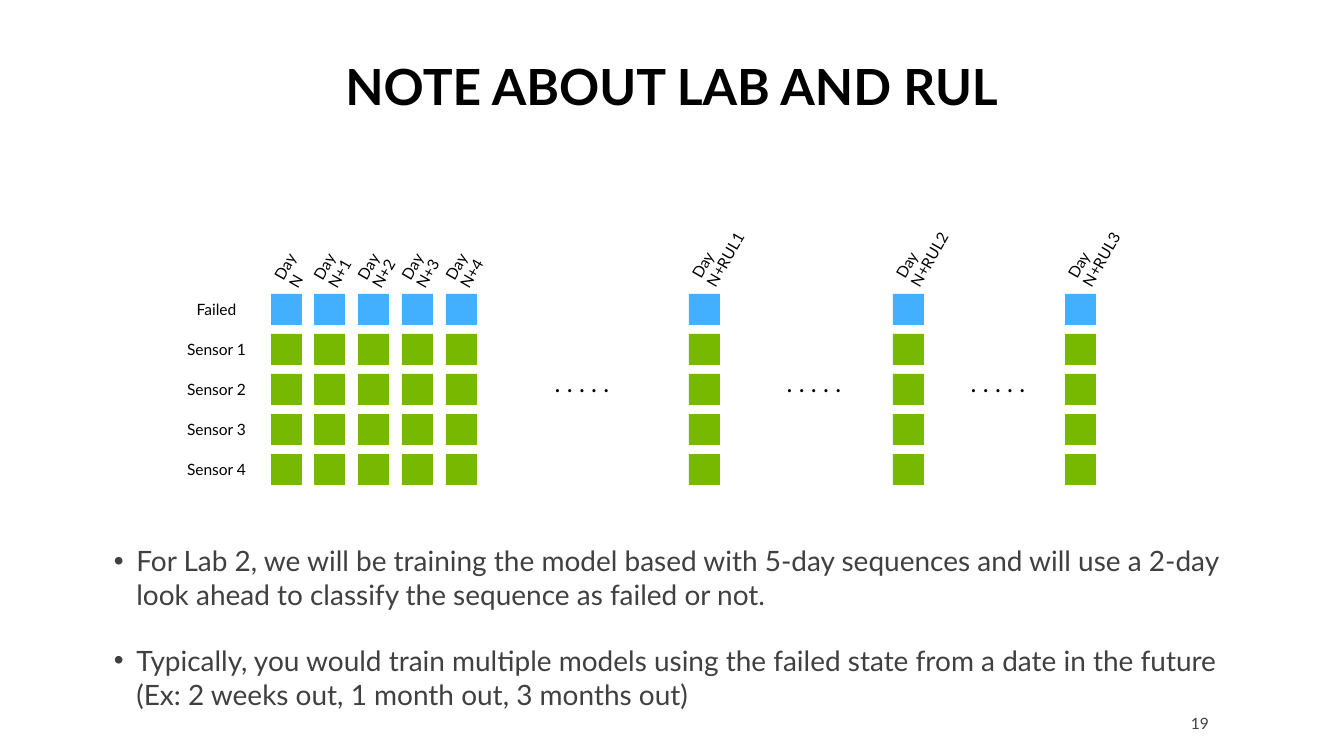
import dataclasses
import pptx
import pptx.dml.color
import pptx.enum.shapes
import pptx.enum.text
import pptx.oxml
import pptx.oxml.ns
import pptx.util

PX = 914400 // 112
FONT = "Lato"
BLACK = pptx.dml.color.RGBColor(0x00, 0x00, 0x00)
GREY = pptx.dml.color.RGBColor(0x40, 0x40, 0x40)
BLUE = pptx.dml.color.RGBColor(0x43, 0xAF, 0xFF)
GREEN = pptx.dml.color.RGBColor(0x76, 0xB9, 0x00)

ALIGN = pptx.enum.text.PP_ALIGN
ANCHOR = pptx.enum.text.MSO_ANCHOR
FIT = pptx.enum.text.MSO_AUTO_SIZE

SIDE = 31
TOP = 294
STEP = 40
ROWS = ["Failed", "Sensor 1", "Sensor 2", "Sensor 3", "Sensor 4"]


@dataclasses.dataclass
class Box:
    x: int
    y: int
    w: int
    h: int

    def emu(self) -> list[int]:
        return [n * PX for n in (self.x, self.y, self.w, self.h)]


@dataclasses.dataclass
class Day:
    x: int
    name: str
    tag: Box


def add_text(slide, box: Box, *paras: str, size=10, color=BLACK, bold=False,
             align=ALIGN.CENTER, anchor=ANCHOR.MIDDLE, wrap=False, grow=True,
             turn=0, lead=0.9, gap=0, bullet=""):
    shape = slide.shapes.add_textbox(*box.emu())
    shape.rotation = turn
    frame = shape.text_frame
    frame.word_wrap = wrap
    frame.auto_size = FIT.SHAPE_TO_FIT_TEXT if grow else FIT.NONE
    frame.vertical_anchor = anchor
    for i, text in enumerate(paras):
        para = frame.add_paragraph() if i else frame.paragraphs[0]
        para.text = text
        para.alignment = align
        para.line_spacing = lead
        if gap and i < len(paras) - 1:
            para.space_after = pptx.util.Pt(gap)
        for run in para.runs:
            run.font.name = FONT
            run.font.size = pptx.util.Pt(size)
            run.font.bold = bold
            run.font.color.rgb = color
        if bullet:
            add_bullet(para, bullet)
    return shape


def add_bullet(para, char: str) -> None:
    props = para._p.get_or_add_pPr()
    indent = pptx.util.Inches(0.2)
    props.set("marL", str(indent))
    props.set("indent", str(-indent))
    ns = pptx.oxml.ns.nsdecls("a")
    props.append(pptx.oxml.parse_xml(f'<a:buFont {ns} typeface="Arial"/>'))
    props.append(pptx.oxml.parse_xml(f'<a:buChar {ns} char="{char}"/>'))


def add_day(slide, day: Day) -> None:
    group = slide.shapes.add_group_shape()
    for i in range(len(ROWS)):
        cell = group.shapes.add_shape(
            pptx.enum.shapes.MSO_SHAPE.RECTANGLE,
            *Box(day.x, TOP + i * STEP, SIDE, SIDE).emu())
        cell.shadow.inherit = False
        cell.fill.solid()
        cell.fill.fore_color.rgb = GREEN if i else BLUE
        cell.line.fill.background()
    add_text(slide, day.tag, day.name, align=ALIGN.LEFT, turn=300)


def get_days() -> list[Day]:
    days = [Day(271, "Day N", Box(265, 251, 63, 28))]
    for i in range(1, 5):
        x = 271 + i * 175 // 4
        days.append(Day(x, f"Day N+{i}", Box(x - 14, 244, 80, 28)))
    for i, x in enumerate((689, 893, 1065), 1):
        days.append(Day(x, f"Day N+RUL{i}", Box(x - 17, 231, 106, 28)))
    return days


def main() -> None:
    deck = pptx.Presentation()
    deck.slide_width = 1344 * PX
    deck.slide_height = 756 * PX
    slide = deck.slides.add_slide(deck.slide_layouts[6])

    # Title and page number
    add_text(slide, Box(61, 49, 1222, 73), "NOTE ABOUT LAB AND RUL", size=32,
             bold=True, anchor=ANCHOR.BOTTOM, wrap=True, grow=False)
    add_text(slide, Box(918, 703, 302, 40), "19", color=GREY,
             align=ALIGN.RIGHT, wrap=True, grow=False, lead=1.0)

    # Row labels
    for i, name in enumerate(ROWS):
        add_text(slide, Box(176, TOP + 2 + i * STEP, 81, 28), name)

    # Day columns and the gaps between them
    for day in get_days():
        add_day(slide, day)
    for x in (532, 764, 948):
        add_text(slide, Box(x, 365, 100, 38), ". . . . .", size=16)

    # Notes below the grid
    add_text(slide, Box(103, 538, 1165, 181),
             "For Lab 2, we will be training the model based with 5-day "
             "sequences and will use a 2-day look ahead to classify the "
             "sequence as failed or not.",
             "Typically, you would train multiple models using the failed "
             "state from a date in the future\v"
             "(Ex: 2 weeks out, 1 month out, 3 months out)",
             size=18, color=GREY, align=ALIGN.LEFT, anchor=ANCHOR.TOP,
             wrap=True, lead=1.0, gap=21, bullet="•")

    deck.save("out.pptx")


if __name__ == "__main__":
    main()
